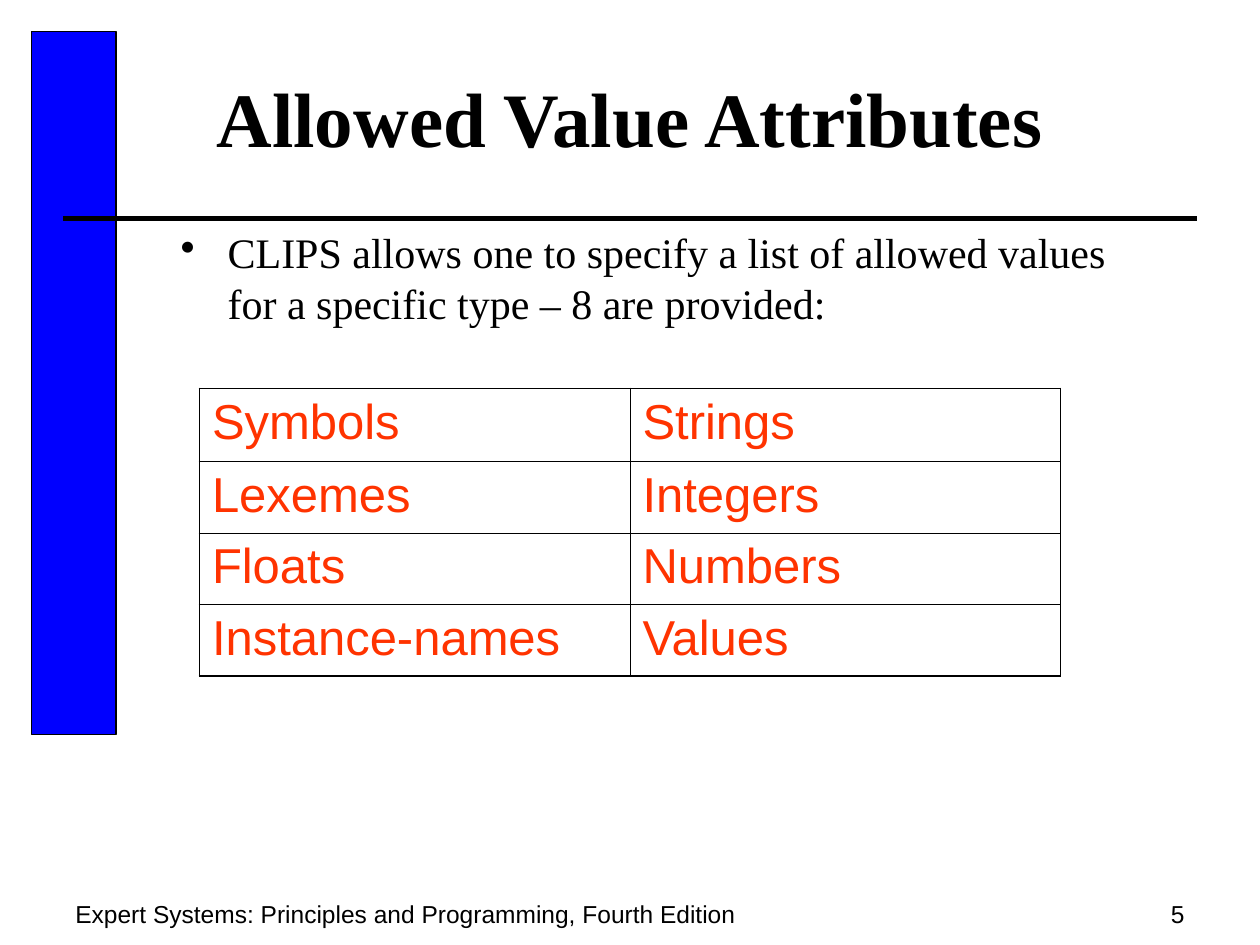
from dataclasses import dataclass

from lxml import etree
from pptx import Presentation
from pptx.dml.color import RGBColor
from pptx.enum import shapes, text
from pptx.oxml.ns import qn
from pptx.util import Cm, Pt


@dataclass(frozen=True)
class Theme:
    ink: str = "000000"
    paper: str = "FFFFFF"
    bar: str = "0000FF"
    value: str = "FF3300"
    serif: str = "Times New Roman"
    sans: str = "Arial"
    title: int = 44
    body: int = 24
    cell: int = 28
    foot: int = 14
    edge: float = 1.08
    inner: float = 0.45


THEME = Theme()
ALIGN = text.PP_ALIGN
VALUES = [
    ("Symbols", "Strings"),
    ("Lexemes", "Integers"),
    ("Floats", "Numbers"),
    ("Instance-names", "Values"),
]


def rgb(color):
    return RGBColor.from_string(color)


def add_run(para, words, face, size, color=THEME.ink, bold=False):
    run = para.add_run()
    run.text = words
    font = run.font
    font.name, font.size, font.bold = face, Pt(size), bold
    font.color.rgb = rgb(color)


def add_box(slide, box, align=ALIGN.LEFT, anchor=text.MSO_ANCHOR.TOP):
    """Add an empty text box and return its first paragraph."""
    frame = slide.shapes.add_textbox(*map(Cm, box)).text_frame
    frame.word_wrap = True
    frame.vertical_anchor = anchor
    para = frame.paragraphs[0]
    para.alignment = align
    return para


def add_title(slide, box, words):
    para = add_box(slide, box, ALIGN.CENTER, text.MSO_ANCHOR.MIDDLE)
    add_run(para, words, THEME.serif, THEME.title, bold=True)


def add_bullet(slide, box, words):
    para = add_box(slide, box)
    props = para._p.get_or_add_pPr()
    indent = Cm(0.95)
    props.set("marL", str(indent))
    props.set("indent", str(-indent))
    etree.SubElement(props, qn("a:buChar"), char="•")
    add_run(para, words, THEME.serif, THEME.body)


def add_frame(slide, box):
    """Draw the side bar and the rule under the title."""
    left, top, width, height = box
    bar = slide.shapes.add_shape(
        shapes.MSO_SHAPE.RECTANGLE, Cm(left), Cm(top), Cm(1.7), Cm(14.17))
    bar.shadow.inherit = False
    bar.fill.solid()
    bar.fill.fore_color.rgb = rgb(THEME.bar)
    bar.line.color.rgb = rgb(THEME.ink)
    bar.line.width = Pt(0.75)

    level = Cm(top + height)
    rule = slide.shapes.add_connector(
        shapes.MSO_CONNECTOR.STRAIGHT,
        Cm(left + 0.64), level, Cm(left + width), level)
    rule.line.color.rgb = rgb(THEME.ink)
    rule.line.width = Pt(3)
    etree.SubElement(rule._element.spPr, qn("a:effectLst"))


def add_border(cell, side, width):
    props = cell._tc.get_or_add_tcPr()
    line = etree.SubElement(props, qn(f"a:ln{side}"), w=str(Pt(width)))
    fill = etree.SubElement(line, qn("a:solidFill"))
    etree.SubElement(fill, qn("a:srgbClr"), val=THEME.ink)


def add_values(slide, box, rows):
    count, span = len(rows), len(rows[0])
    table = slide.shapes.add_table(count, span, *map(Cm, box)).table
    table.first_row = table.horz_banding = False
    first = 1.48
    rest = (box[3] - first) / (count - 1)
    for r, row in enumerate(rows):
        table.rows[r].height = Cm(rest if r else first)
        for c, words in enumerate(row):
            cell = table.cell(r, c)
            outer = {"L": c == 0, "R": c == span - 1,
                     "T": r == 0, "B": r == count - 1}
            for side, edge in outer.items():
                add_border(cell, side, THEME.edge if edge else THEME.inner)
            cell.fill.solid()
            cell.fill.fore_color.rgb = rgb(THEME.paper)
            add_run(cell.text_frame.paragraphs[0], words,
                    THEME.sans, THEME.cell, THEME.value)


def add_footer(slide, box, words, number):
    left, top, width, height = box
    note = add_box(slide, (left, top, 16.72, height))
    add_run(note, words, THEME.sans, THEME.foot)
    wide = 5.93
    page = add_box(slide, (left + width - wide, top, wide, 0.69), ALIGN.RIGHT)
    add_run(page, number, THEME.sans, THEME.foot)


def main():
    deck = Presentation()
    deck.slide_width, deck.slide_height = Cm(25.4), Cm(19.05)
    slide = deck.slides.add_slide(deck.slide_layouts[6])
    add_title(slide, (1.27, 0.76, 22.86, 3.18), "Allowed Value Attributes")
    add_bullet(slide, (3.39, 4.45, 20.32, 4.23),
               "CLIPS allows one to specify a list of allowed values "
               "for a specific type – 8 are provided:")
    add_frame(slide, (0.64, 0.64, 23.49, 3.76))
    add_values(slide, (4.02, 7.83, 17.36, 5.8), VALUES)
    add_footer(slide, (1.27, 17.99, 22.86, 1.06),
               "Expert Systems: Principles and Programming, Fourth Edition",
               "5")
    deck.save("out.pptx")


if __name__ == "__main__":
    main()
